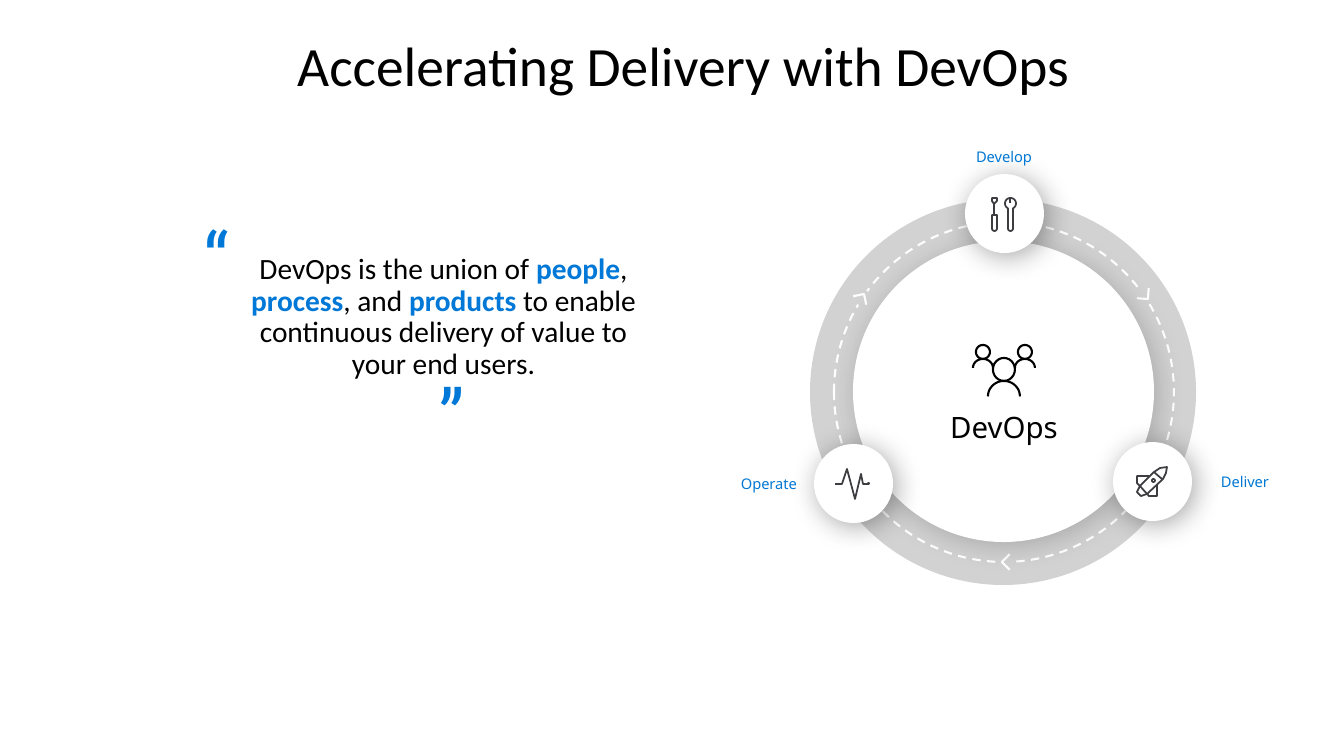
import dataclasses
import math
import typing

import lxml.etree
import pptx
import pptx.dml.color
import pptx.enum.dml
import pptx.enum.shapes
import pptx.enum.text
import pptx.oxml.ns
import pptx.shapes.autoshape
import pptx.util

EMU_PER_PIXEL = 914400 / 100.8
COLORS = {"ink": "000000", "accent": "0078D7", "label": "0078D4",
          "ring": "D2D2D2", "icon": "3C3C41", "white": "FFFFFF"}
ELLIPSE = pptx.enum.shapes.MSO_SHAPE.OVAL
RECTANGLE = pptx.enum.shapes.MSO_SHAPE.RECTANGLE
ANCHOR = pptx.enum.text.MSO_ANCHOR
Points = list[tuple[float, float]]


@dataclasses.dataclass
class Run:
    text: str
    color: str = "ink"
    bold: bool = False


@dataclasses.dataclass
class TextBlock:
    box: tuple[int, int, int, int]
    runs: list[Run]
    size: float
    font: str
    middle: bool = True
    wrap: bool = False
    insets: tuple[int, int] | None = None
    line_spacing: float | None = None
    space_before: int | None = None
    grow: bool = False
    tracking: int | None = None


@dataclasses.dataclass
class Disc:
    left: int
    top: int
    diameter: int
    fill: str | None = None
    line: str | None = None
    shadow_percent: int = 0


@dataclasses.dataclass
class Chevron:
    tip_x: int
    tip_y: int
    heading: int


@dataclasses.dataclass
class Stroke:
    points: Points
    closed: bool = False


@dataclasses.dataclass
class Icon:
    strokes: list[Stroke]
    color: str = "icon"
    width: float = 1.25


def emu(pixels: float) -> pptx.util.Emu:
    """Turn pixels into EMU."""
    return pptx.util.Emu(round(pixels * EMU_PER_PIXEL))


def rgb(name: str) -> pptx.dml.color.RGBColor:
    """Look up a named colour."""
    return pptx.dml.color.RGBColor.from_string(COLORS[name])


def arc(left: int, top: int, width: int, height: int,
        start: int = 0, end: int = 360) -> Points:
    """Points on the ellipse in a box, clockwise from start to end degrees."""
    steps = 24
    angles = [math.radians(start + (end - start) * i / steps) for i in range(steps + 1)]
    return [(left + width / 2 * (1 + math.cos(angle)),
             top + height / 2 * (1 + math.sin(angle))) for angle in angles]


def style(shape: pptx.shapes.autoshape.Shape, fill: str | None = None,
          line: str | None = None, width: float = 1.5) -> None:
    """Set fill and outline, and remove the theme shadow."""
    shape.shadow.inherit = False
    if fill:
        shape.fill.solid()
        shape.fill.fore_color.rgb = rgb(fill)
    else:
        shape.fill.background()
    if line:
        shape.line.color.rgb = rgb(line)
        shape.line.width = pptx.util.Pt(width)
    else:
        shape.line.fill.background()


def add_shadow(shape: pptx.shapes.autoshape.Shape, percent: int) -> None:
    """Add a soft black shadow towards the lower right."""
    tag = pptx.oxml.ns.qn
    effects = shape.element.spPr.find(tag("a:effectLst"))
    shadow = lxml.etree.SubElement(
        effects, tag("a:outerShdw"), blurRad=str(pptx.util.Pt(20)),
        dist=str(pptx.util.Pt(4)), dir=str(45 * 60000), rotWithShape="0")
    color = lxml.etree.SubElement(shadow, tag("a:srgbClr"), val=COLORS["ink"])
    lxml.etree.SubElement(color, tag("a:alpha"), val=str(percent * 1000))


def add_disc(shapes: typing.Any, disc: Disc) -> None:
    """Draw a circle, dashed when it has an outline."""
    shape = shapes.add_shape(ELLIPSE, emu(disc.left), emu(disc.top),
                             emu(disc.diameter), emu(disc.diameter))
    style(shape, disc.fill, disc.line)
    if disc.line:
        shape.line.dash_style = pptx.enum.dml.MSO_LINE.DASH
    if disc.shadow_percent:
        add_shadow(shape, disc.shadow_percent)


def add_strokes(shapes: typing.Any, strokes: list[Stroke]) -> pptx.shapes.autoshape.Shape:
    """Join strokes into one freeform."""
    contours = [[(emu(x), emu(y)) for x, y in stroke.points] for stroke in strokes]
    builder = shapes.build_freeform(*contours[0][0])
    for index, (stroke, contour) in enumerate(zip(strokes, contours)):
        if index:
            builder.move_to(*contour[0])
        builder.add_line_segments(contour[1:], close=stroke.closed)
    return builder.convert_to_shape()


def add_chevron(shapes: typing.Any, chevron: Chevron) -> None:
    """Break the dashed circle with a plate and an open arrowhead."""
    plate_width, plate_height, plate_offset, arm = 16, 15, 4, 11
    heading = math.radians(chevron.heading)
    center_x = chevron.tip_x - plate_offset * math.cos(heading)
    center_y = chevron.tip_y - plate_offset * math.sin(heading)
    plate = shapes.add_shape(RECTANGLE, emu(center_x - plate_width / 2),
                             emu(center_y - plate_height / 2),
                             emu(plate_width), emu(plate_height))
    plate.rotation = (chevron.heading + 180) % 360
    style(plate, "ring")
    first, last = [(chevron.tip_x + arm * math.cos(heading + turn),
                    chevron.tip_y + arm * math.sin(heading + turn))
                   for turn in (math.radians(135), math.radians(225))]
    arrowhead = add_strokes(shapes, [Stroke([first, (chevron.tip_x, chevron.tip_y), last])])
    style(arrowhead, "ring", "white")


def add_text(shapes: typing.Any, block: TextBlock) -> None:
    """Add a centred text box run by run."""
    frame = shapes.add_textbox(*map(emu, block.box)).text_frame
    frame.word_wrap = block.wrap
    frame.vertical_anchor = ANCHOR.MIDDLE if block.middle else ANCHOR.TOP
    if block.grow:
        frame.auto_size = pptx.enum.text.MSO_AUTO_SIZE.SHAPE_TO_FIT_TEXT
    if block.insets:
        frame.margin_left = frame.margin_right = emu(block.insets[0])
        frame.margin_top = frame.margin_bottom = emu(block.insets[1])
    paragraph = frame.paragraphs[0]
    paragraph.alignment = pptx.enum.text.PP_ALIGN.CENTER
    paragraph.line_spacing = block.line_spacing
    if block.space_before:
        paragraph.space_before = pptx.util.Pt(block.space_before)
    for part in block.runs:
        run = paragraph.add_run()
        run.text = part.text
        run.font.name, run.font.size = block.font, pptx.util.Pt(block.size)
        run.font.bold, run.font.color.rgb = part.bold, rgb(part.color)
        if block.tracking:
            run.font._element.set("spc", str(block.tracking))


def label(text: str, left: int, top: int, width: int = 108,
          size: float = 10.5, color: str = "label") -> TextBlock:
    """Describe a caption of the cycle."""
    return TextBlock((left, top, width, 22), [Run(text, color)], size, "Noto Sans", insets=(15, 12))


def quote_mark(text: str, left: int, top: int) -> TextBlock:
    """Describe a large quotation mark."""
    return TextBlock((left, top, 69, 92), [Run(text, "accent")], 48, "Roboto Slab",
                     middle=False, grow=True, tracking=-10)


RING = [Disc(810, 199, 386, "ring"), Disc(834, 222, 340, line="white")]
CHEVRONS = [Chevron(1148, 299, 49), Chevron(864, 294, 303), Chevron(1002, 562, 180)]
RAISED_DISCS = [Disc(853, 241, 301, "white", shadow_percent=19)] + [
    Disc(left, top, 79, "white", shadow_percent=35)
    for left, top in ((965, 174), (814, 444), (1113, 442))]
TOOLS = Icon([
    Stroke([(992, 215), *arc(992, 226, 5, 5, 180, 0), (997, 215)], True),
    Stroke([(992, 198), (997, 198), (997, 201), (994, 204), (992, 201)], True),
    Stroke([(994, 204), (994, 215)]),
    Stroke([*arc(1005, 198, 11, 11, 118, 422), *arc(1008, 226, 5, 5, 0, 180)], True),
    Stroke([(1010, 198), (1010, 203)])])
PEOPLE = Icon([
    Stroke(arc(993, 358, 22, 23), True), Stroke(arc(988, 381, 32, 31, 180, 360)),
    *[stroke for middle in (983, 1025) for stroke in (
        Stroke(arc(middle - 7, 345, 14, 14), True),
        Stroke(arc(middle - 10, 359, 20, 18, 180, 360)))]], "ink", 1.5)
PULSE = Icon([
    Stroke([(835, 484), (842, 484), (847, 469), (855, 499), (861, 474), (863, 484), (868, 484)]),
    Stroke(arc(868, 483, 1, 1), True)])
ROCKET = Icon([
    Stroke([(1167, 467), (1166, 473), (1163, 479), (1147, 494), (1141, 496),
            (1137, 492), (1140, 486), (1154, 472), (1160, 468)], True),
    Stroke([(1154, 472), (1162, 479)]),
    Stroke([(1149, 476), (1137, 476), (1137, 483), (1140, 486)]),
    Stroke([(1140, 486), (1149, 496), (1157, 496), (1157, 485)]),
    Stroke(arc(1152, 479, 3, 3), True)])
TEXTS = [
    TextBlock((37, 51, 1293, 36), [Run("Accelerating Delivery with DevOps")], 39.6, "Calibri",
              wrap=True, line_spacing=0.9),
    TextBlock((233, 249, 421, 192), [
        Run("DevOps is the union of "), Run("people", "accent", True), Run(", "),
        Run("process", "accent", True), Run(", and "), Run("products", "accent", True),
        Run(" to enable continuous delivery of value to your end users.")],
        21, "Calibri", middle=False, wrap=True, line_spacing=0.9, space_before=10),
    label("Develop", 950, 146), label("Operate", 723, 473, 92), label("Deliver", 1191, 471),
    label("DevOps", 924, 416, 160, 21, "ink"),
    quote_mark("\u201c", 182, 209), quote_mark("\u201d", 417, 366)]


def main() -> None:
    """Build and save the slide."""
    presentation = pptx.Presentation()
    presentation.slide_width, presentation.slide_height = emu(1344), emu(756)
    shapes = presentation.slides.add_slide(presentation.slide_layouts[6]).shapes
    for disc in RING:
        add_disc(shapes, disc)
    for chevron in CHEVRONS:
        add_chevron(shapes, chevron)
    for disc in RAISED_DISCS:
        add_disc(shapes, disc)
    for icon in (TOOLS, PEOPLE, PULSE, ROCKET):
        style(add_strokes(shapes, icon.strokes), line=icon.color, width=icon.width)
    for block in TEXTS:
        add_text(shapes, block)
    presentation.save("out.pptx")


main()
